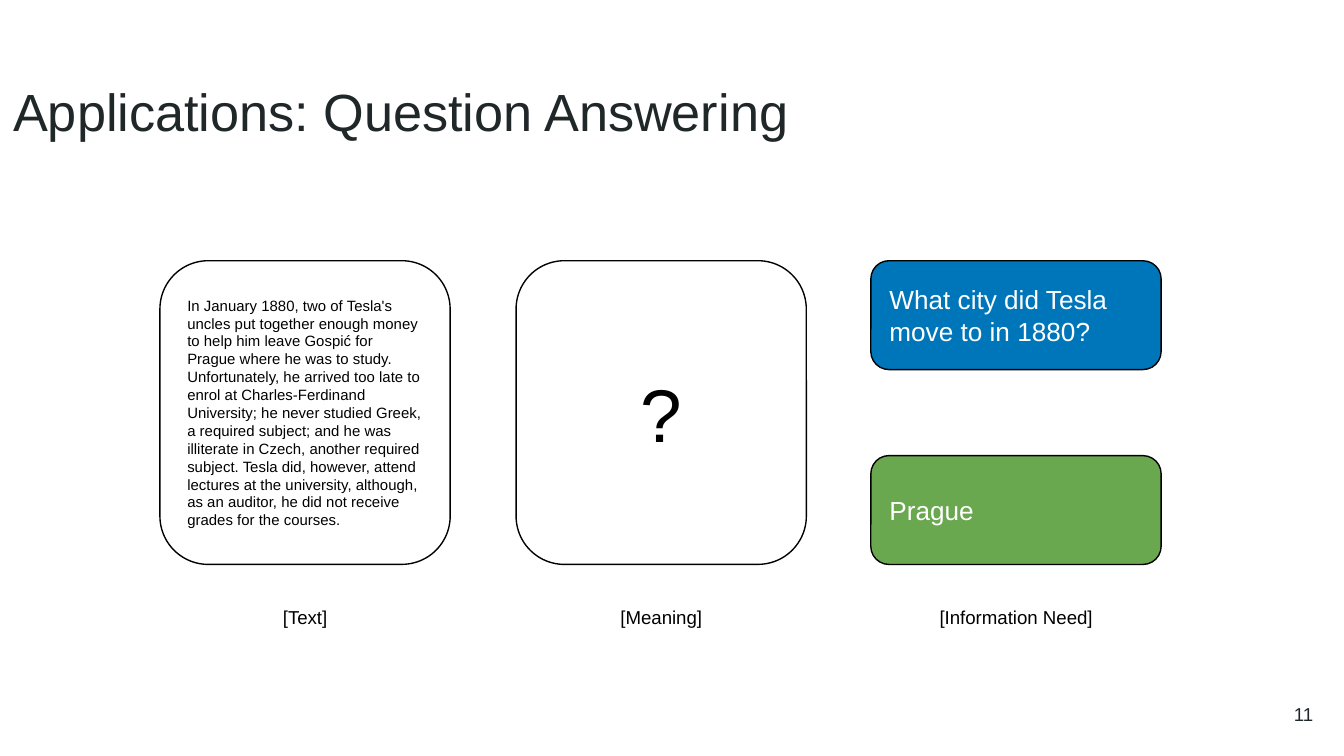
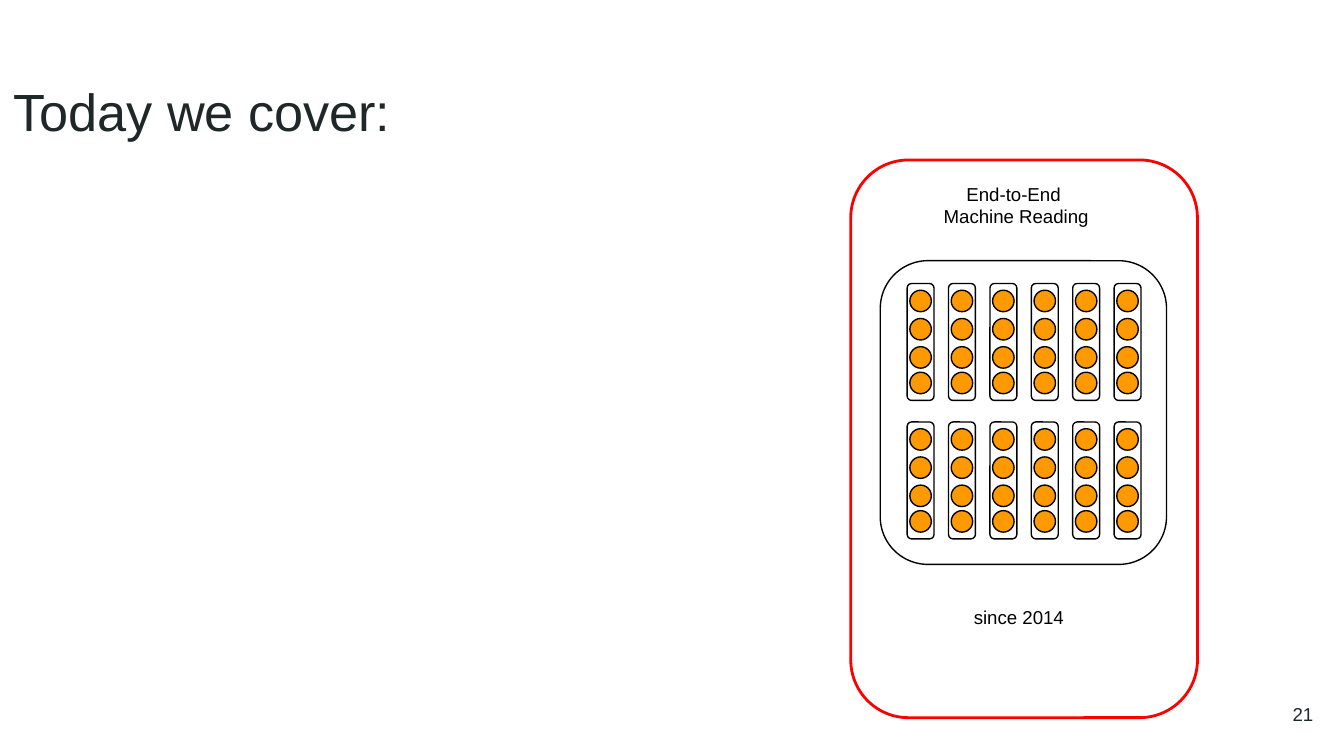
from pptx import Presentation
from pptx.dml.color import RGBColor as RGB
from pptx.enum.shapes import MSO_SHAPE as Shape
from pptx.enum.text import MSO_ANCHOR as Anchor, PP_ALIGN as Align
from pptx.util import Inches, Pt

# Shared look
FONT = "Arial"
HUES = {
    "ink": "202729", "black": "000000", "white": "FFFFFF", "blue": "0076BA",
    "green": "6AA84F", "orange": "FF9900", "red": "FF0000",
}

# Content: question answering
STORY = (
    "In January 1880, two of Tesla's uncles put together enough money to help "
    "him leave Gospić for Prague where he was to study. Unfortunately, he "
    "arrived too late to enrol at Charles-Ferdinand University; he never "
    "studied Greek, a required subject; and he was illiterate in Czech, "
    "another required subject. Tesla did, however, attend lectures at the "
    "university, although, as an auditor, he did not receive grades for the "
    "courses."
)
LABELS = [("[Text]", 1.18), ("[Meaning]", 1.18), ("[Information Need]", 1.58)]
PAIR = [
    ("What city did Tesla move to in 1880?", "blue"),
    ("Prague", "green"),
]

# Content: today's topic
TOPIC = "End-to-End \vMachine Reading"
SINCE = "since 2014"

# Measures in inches
CARD_TOP, CARD_W, CARD_H = 1.94, 2.16, 2.26
CARD_XS = [1.19, 3.84, 6.48]
PAIR_H = 0.81
MARK_W, MARK_H = 0.78, 0.79
LABEL_Y, LABEL_H = 4.43, 0.33
COLS, COL_X, COL_END, COL_W, COL_H = 6, 6.75, 8.29, 0.2, 0.87
COL_STEP = (COL_END - COL_X) / (COLS - 1)
ROW_TOPS = [3.14, 2.11]
DOT = 0.16
DOT_TOPS = [0.05, 0.26, 0.47, 0.66]


def write(shape, text, size, hue="black", align=Align.LEFT, anchor=Anchor.MIDDLE):
    frame = shape.text_frame
    frame.word_wrap = True
    frame.vertical_anchor = anchor
    frame.margin_left = frame.margin_right = Inches(0.1)
    frame.margin_top = frame.margin_bottom = Inches(0.1)
    para = frame.paragraphs[0]
    para.text = text
    para.alignment = align
    para.font.name = FONT
    para.font.size = Pt(size)
    para.font.color.rgb = RGB.from_string(HUES[hue])


def label(slide, box, text, size, hue="black", align=Align.CENTER, anchor=Anchor.MIDDLE):
    shape = slide.shapes.add_textbox(*map(Inches, box))
    write(shape, text, size, hue, align, anchor)


def draw(shapes, kind, box, fill=None, line="black", width=0.75):
    shape = shapes.add_shape(kind, *map(Inches, box))
    shape.shadow.inherit = False
    if fill:
        shape.fill.solid()
        shape.fill.fore_color.rgb = RGB.from_string(HUES[fill])
    else:
        shape.fill.background()
    shape.line.color.rgb = RGB.from_string(HUES[line])
    shape.line.width = Pt(width)
    return shape


def start(deck, title, number):
    slide = deck.slides.add_slide(deck.slide_layouts[6])
    label(slide, (9.27, 5.1, 0.6, 0.43), number, 10, "ink", Align.RIGHT)
    label(slide, (0, 0.49, 9.32, 0.63), title, 28, "ink", Align.LEFT, Anchor.TOP)
    return slide


def answers(deck):
    slide = start(deck, "Applications: Question Answering", "11")
    text_x, mean_x, need_x = CARD_XS

    # Text card
    card = draw(slide.shapes, Shape.ROUNDED_RECTANGLE,
                (text_x, CARD_TOP, CARD_W, CARD_H), "white")
    write(card, STORY, 8)

    # Question above, answer below
    for i, (text, fill) in enumerate(PAIR):
        top = CARD_TOP + i * (CARD_H - PAIR_H)
        card = draw(slide.shapes, Shape.ROUNDED_RECTANGLE,
                    (need_x, top, CARD_W, PAIR_H), fill)
        write(card, text, 14, "white")

    # Captions centred under the columns
    for left, (text, width) in zip(CARD_XS, LABELS):
        x = left + (CARD_W - width) / 2
        label(slide, (x, LABEL_Y, width, LABEL_H), text, 10)

    # Meaning card with its question mark
    draw(slide.shapes, Shape.ROUNDED_RECTANGLE, (mean_x, CARD_TOP, CARD_W, CARD_H))
    x = mean_x + (CARD_W - MARK_W) / 2
    y = CARD_TOP + (CARD_H - MARK_H) / 2
    label(slide, (x, y, MARK_W, MARK_H), "?", 40)


def today(deck):
    slide = start(deck, "Today we cover:", "21")
    label(slide, (6.77, 1.36, 1.58, LABEL_H), TOPIC, 10)
    label(slide, (6.99, LABEL_Y, 1.18, LABEL_H), SINCE, 10)
    draw(slide.shapes, Shape.ROUNDED_RECTANGLE, (6.33, 1.19, 2.58, 4.15),
         line="red", width=1.5)

    # Network: two rows of vectors
    net = slide.shapes.add_group_shape().shapes
    draw(net, Shape.ROUNDED_RECTANGLE, (6.55, CARD_TOP, 2.13, CARD_H))
    for top in ROW_TOPS:
        for i in range(COLS):
            left = COL_X + i * COL_STEP
            draw(net, Shape.ROUNDED_RECTANGLE, (left, top, COL_W, COL_H))
            for drop in DOT_TOPS:
                x = left + (COL_W - DOT) / 2
                draw(net, Shape.OVAL, (x, top + drop, DOT, DOT), "orange")


def main():
    deck = Presentation()
    deck.slide_width = Inches(10)
    deck.slide_height = Inches(10 * 9 / 16)
    answers(deck)
    today(deck)
    deck.save("out.pptx")


if __name__ == "__main__":
    main()
